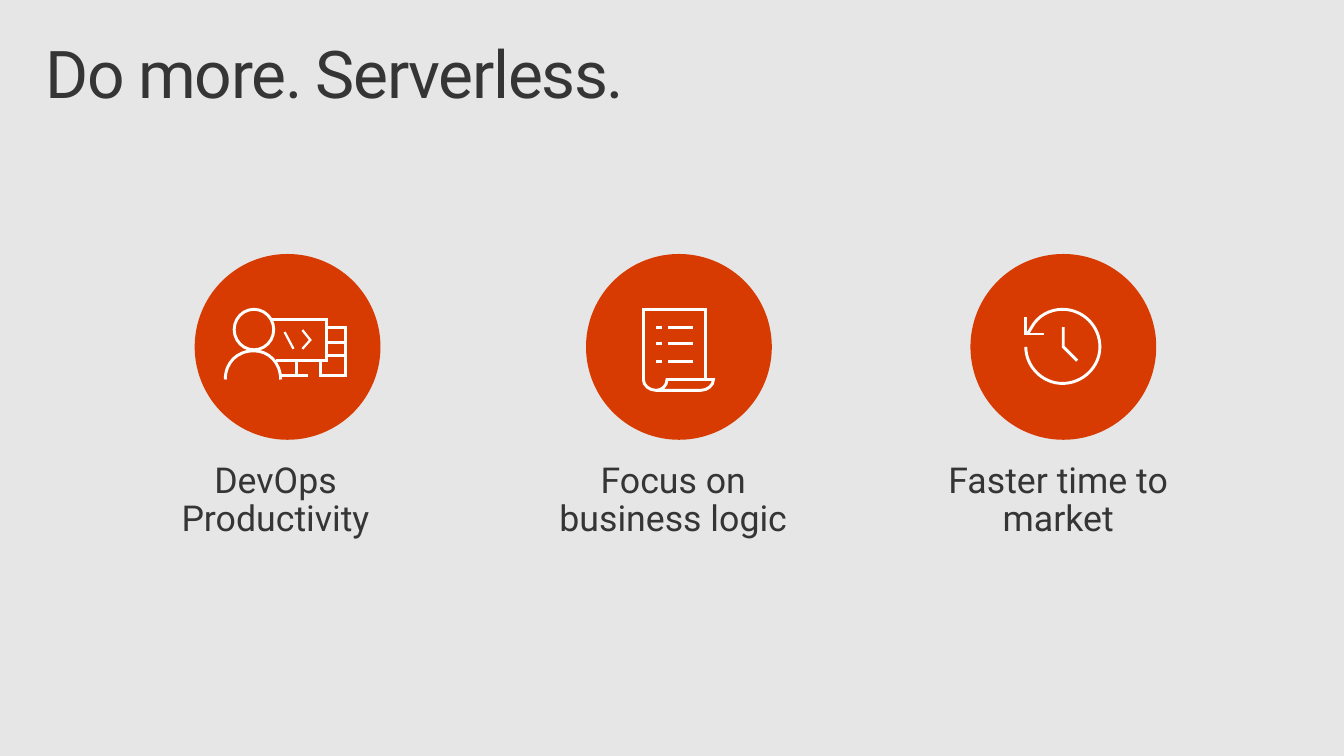
"""Build the "Do more. Serverless." slide with three icon columns."""
import pptx
import pptx.dml.color
import pptx.enum.shapes
import pptx.enum.text
import pptx.oxml.ns
import pptx.util
from lxml import etree

Inches = pptx.util.Inches
Pt = pptx.util.Pt
RGBColor = pptx.dml.color.RGBColor
qn = pptx.oxml.ns.qn
OVAL = pptx.enum.shapes.MSO_SHAPE.OVAL
STRAIGHT = pptx.enum.shapes.MSO_CONNECTOR.STRAIGHT
ALIGN = pptx.enum.text.PP_ALIGN
AUTO_SIZE = pptx.enum.text.MSO_AUTO_SIZE

BACKGROUND = RGBColor(0xE6, 0xE6, 0xE6)
INK = RGBColor(0x35, 0x35, 0x35)
ORANGE = RGBColor(0xD8, 0x3B, 0x01)
WHITE = RGBColor(0xFF, 0xFF, 0xFF)
FONT = "Roboto"
THICK, THIN = 2.13, 1.63
CIRCLE_TOP, CIRCLE_SIZE = 2.57, 1.88
LABEL_TOP, LABEL_HEIGHT = 4.52, 1.13

TITLE = "Do more. Serverless."

DEVELOPER_HEAD = (2.37, 3.13, 0.4, 0.41)
DEVELOPER = [
    (THICK, [(2.84, 3.84), (2.84, 3.67, 2.72, 3.55, 2.57, 3.55),
             (2.4, 3.55, 2.28, 3.67, 2.28, 3.84)]),
    (THICK, [(2.79, 3.65), (3.3, 3.65), (3.3, 3.23), (2.74, 3.23)]),
    (THICK, [(3, 3.8), (3, 3.65)]),
    (THICK, [(3.3, 3.31), (3.5, 3.31), (3.5, 3.8), (3.24, 3.8), (3.24, 3.65)]),
    (THICK, [(3.12, 3.8), (2.82, 3.8)]),
    *[(THICK, [(3.5, y), (3.3, y)]) for y in (3.47, 3.6)],
    (THIN, [(2.88, 3.36), (2.97, 3.53)]),
    (THIN, [(3.06, 3.34), (3.14, 3.44), (3.06, 3.53)]),
]
SCROLL = [
    (THICK, [(6.51, 3.84), (6.51, 3.9, 6.57, 3.95, 6.64, 3.95),
             (6.7, 3.95, 6.75, 3.9, 6.75, 3.84),
             (7.22, 3.84, 7.22, 3.84, 7.22, 3.84),
             (7.22, 3.9, 7.16, 3.95, 7.09, 3.95),
             (6.64, 3.95, 6.64, 3.95, 6.64, 3.95)]),
    (THICK, [(6.51, 3.85), (6.51, 3.13), (7.14, 3.13), (7.14, 3.84)]),
    *[(THICK, [(left, y), (right, y)])
      for left, right in ((6.76, 7.01), (6.64, 6.7)) for y in (3.31, 3.48, 3.66)],
]
CLOCK = [
    (THICK, [(10.4, 3.37), (10.4, 3.37, 10.41, 3.36, 10.41, 3.36),
             (10.42, 3.34, 10.43, 3.33, 10.44, 3.31),
             (10.5, 3.2, 10.62, 3.13, 10.75, 3.13),
             (10.96, 3.13, 11.13, 3.3, 11.13, 3.51),
             (11.13, 3.71, 10.96, 3.88, 10.75, 3.88),
             (10.55, 3.88, 10.38, 3.71, 10.38, 3.51)]),
    (THICK, [(10.76, 3.31), (10.76, 3.51), (10.9, 3.65)]),
    (THICK, [(10.56, 3.38), (10.38, 3.38), (10.38, 3.21)]),
]

COLUMNS = [
    {"label": "DevOps Productivity", "label_left": 1.4, "label_width": 2.88,
     "circle_left": 1.97, "ovals": [DEVELOPER_HEAD], "strokes": DEVELOPER},
    {"label": "Focus on business logic", "label_left": 5.38, "label_width": 2.97,
     "circle_left": 5.93, "ovals": [], "strokes": SCROLL},
    {"label": "Faster time to market", "label_left": 9.39, "label_width": 2.74,
     "circle_left": 9.82, "ovals": [], "strokes": CLOCK},
]


def style_line(shape, width):
    shape.line.color.rgb = WHITE
    shape.line.width = Pt(width)
    etree.SubElement(shape.line._ln, qn("a:miter"), lim="800000")


def bend_curves(shape, segments):
    steps = iter(list(shape._element.iter(qn("a:lnTo"))))
    for segment in segments:
        first = next(steps)
        if len(segment) == 2:
            continue
        curve = etree.Element(qn("a:cubicBezTo"))
        first.addprevious(curve)
        for step in (first, next(steps), next(steps)):
            curve.append(step[0])
            step.getparent().remove(step)


def add_stroke(group, width, path):
    points = [(Inches(x), Inches(y)) for segment in path
              for x, y in zip(segment[::2], segment[1::2])]
    if len(points) == 2:
        shape = group.shapes.add_connector(STRAIGHT, *points[0], *points[1])
        style_line(shape, width)
        etree.SubElement(shape._element.spPr, qn("a:effectLst"))
        return
    builder = group.shapes.build_freeform(*points[0])
    builder.add_line_segments(points[1:], close=False)
    shape = builder.convert_to_shape()
    bend_curves(shape, path[1:])
    shape.fill.background()
    style_line(shape, width)
    shape.shadow.inherit = False


def add_oval(group, box):
    shape = group.shapes.add_shape(OVAL, *[Inches(length) for length in box])
    shape.shadow.inherit = False
    return shape


def add_icon(slide, column):
    group = slide.shapes.add_group_shape()
    circle = add_oval(group, (column["circle_left"], CIRCLE_TOP, CIRCLE_SIZE, CIRCLE_SIZE))
    circle.fill.solid()
    circle.fill.fore_color.rgb = ORANGE
    circle.line.fill.background()
    for box in column["ovals"]:
        outline = add_oval(group, box)
        outline.fill.background()
        style_line(outline, THICK)
    for width, path in column["strokes"]:
        add_stroke(group, width, path)


def write_text(shape, text, size, alignment, insets, auto_size):
    frame = shape.text_frame
    frame.word_wrap = True
    frame.auto_size = auto_size
    frame.vertical_anchor = pptx.enum.text.MSO_ANCHOR.TOP
    frame.margin_left, frame.margin_top, frame.margin_right, frame.margin_bottom = [
        Inches(inset) for inset in insets]
    paragraph = frame.paragraphs[0]
    paragraph.alignment = alignment
    paragraph.line_spacing = 0.9
    run = paragraph.add_run()
    run.text = text
    run.font.name = FONT
    run.font.size = Pt(size)
    run.font.color.rgb = INK
    return paragraph


def add_label(slide, column):
    box = slide.shapes.add_textbox(Inches(column["label_left"]), Inches(LABEL_TOP),
                                   Inches(column["label_width"]), Inches(LABEL_HEIGHT))
    paragraph = write_text(box, column["label"], 26, ALIGN.CENTER,
                           (0.1, 0.16, 0.2, 0.16), AUTO_SIZE.SHAPE_TO_FIT_TEXT)
    paragraph.space_after = Pt(12.2)


def add_title(slide):
    title = slide.shapes.title
    title.left, title.top, title.width, title.height = (
        Inches(0.3), Inches(0.32), Inches(13), Inches(1))
    paragraph = write_text(title, TITLE, 48, ALIGN.LEFT,
                           (0.16, 0.1, 0.16, 0.1), AUTO_SIZE.NONE)
    paragraph.runs[0].font._element.set("spc", "-100")


def main():
    presentation = pptx.Presentation()
    presentation.slide_width = Inches(13.6)
    presentation.slide_height = Inches(7.65)
    slide = presentation.slides.add_slide(presentation.slide_layouts[5])
    slide.background.fill.solid()
    slide.background.fill.fore_color.rgb = BACKGROUND
    add_title(slide)
    for column in COLUMNS:
        add_label(slide, column)
        add_icon(slide, column)
    presentation.save("out.pptx")


if __name__ == "__main__":
    main()
